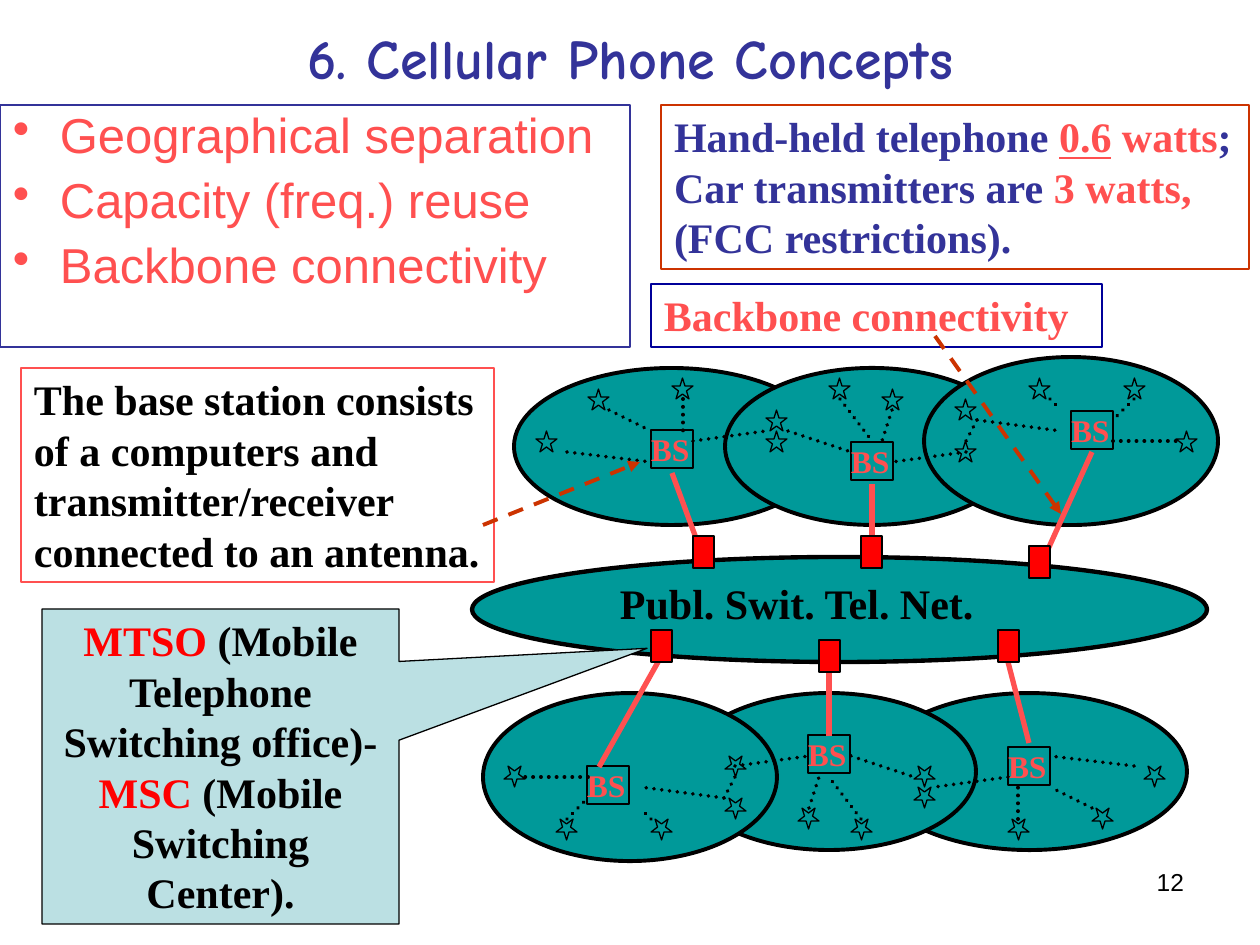
from lxml.etree import SubElement
from pptx import Presentation
from pptx.dml.color import RGBColor
from pptx.enum.dml import MSO_LINE
from pptx.enum.shapes import MSO_CONNECTOR, MSO_SHAPE
from pptx.enum.text import MSO_ANCHOR, PP_ALIGN
from pptx.oxml.ns import qn
from pptx.util import Pt

EMU_PER_PX = 914400 / 126
COLORS = {
    "black": "000000", "teal": "009999", "indigo": "333399", "navy": "000099",
    "coral": "FF5050", "red": "FF0000", "rust": "CC3300", "ice": "BBE0E3",
}
SERIF = "Times New Roman"


def px(value):
    return round(value * EMU_PER_PX)


def color(name):
    return RGBColor.from_string(COLORS[name])


class Stage:
    """Style and current slide, with one method for each kind of element."""

    def __init__(self, slide):
        self.shapes = slide.shapes

    def shape(self, kind, box, fill=None, line=None, width=0.75, turn=0):
        item = self.shapes.add_shape(kind, *map(px, box))
        item.shadow.inherit = False
        item.rotation = turn
        if fill:
            item.fill.solid()
            item.fill.fore_color.rgb = color(fill)
        else:
            item.fill.background()
        if line:
            item.line.color.rgb = color(line)
            item.line.width = Pt(width)
        else:
            item.line.fill.background()
        return item

    def text(self, item, paragraphs, size=24, font=SERIF, bold=True,
             align=PP_ALIGN.LEFT, anchor=MSO_ANCHOR.TOP, inset=(13, 6)):
        """Each paragraph is a list of (words, colour[, underlined]) runs."""
        frame = item.text_frame
        frame.word_wrap = True
        frame.vertical_anchor = anchor
        frame.margin_left = frame.margin_right = px(inset[0])
        frame.margin_top = frame.margin_bottom = px(inset[1])
        for index, runs in enumerate(paragraphs):
            paragraph = frame.add_paragraph() if index else frame.paragraphs[0]
            paragraph.alignment = align
            for words, ink, *underlined in runs:
                run = paragraph.add_run()
                run.text = words
                run.font.size, run.font.name, run.font.bold = Pt(size), font, bold
                run.font.color.rgb = color(ink)
                if underlined:
                    run.font.underline = True
        return frame

    def label(self, box, words, ink, **style):
        return self.text(self.shapes.add_textbox(*map(px, box)), [[(words, ink)]], **style)

    def note(self, box, line, runs):
        self.text(self.shape(MSO_SHAPE.RECTANGLE, box, None, line), [runs])

    def bullets(self, box, line, items, ink):
        frame = self.text(self.shape(MSO_SHAPE.RECTANGLE, box, None, line),
                          [[(item, ink)] for item in items], 28, "Arial", False)
        for paragraph in frame.paragraphs:
            paragraph.line_spacing = 0.9
            paragraph.space_before = Pt(7)
            properties = paragraph._p.get_or_add_pPr()
            properties.set("marL", str(px(47)))
            properties.set("indent", str(px(-47)))
            SubElement(properties, qn("a:buChar")).set("char", "•")

    def line(self, ends, ink, width=2.25, dash=None, arrow=False):
        link = self.shapes.add_connector(MSO_CONNECTOR.STRAIGHT, *map(px, ends))
        link.line.color.rgb = color(ink)
        link.line.width = Pt(width)
        outline = link.line._get_or_add_ln()
        if dash:
            link.line.dash_style = dash
        if dash == MSO_LINE.ROUND_DOT:
            outline.set("cap", "rnd")
        if arrow:
            SubElement(outline, qn("a:tailEnd")).set("type", "triangle")
        SubElement(link._element.spPr, qn("a:effectLst"))

    def radio_link(self, ends):
        self.line(ends, "black", dash=MSO_LINE.ROUND_DOT)

    def base_station(self, left, top):
        block = self.shape(MSO_SHAPE.RECTANGLE, (left, top, 42, 38), "teal", "black", 1.5)
        self.text(block, [[("BS", "coral")]], 18, inset=(0, 0))


# Upper cells; the lower ones are these turned by 180 degrees
CELLS = [(514, 368, 315, 157), (725, 368, 294, 157), (924, 357, 294, 168)]
PHONES = [(766, 410), (766, 431), (829, 378), (882, 389), (955, 399), (955, 441),
          (1029, 378), (1176, 431), (1124, 378), (536, 431), (588, 389), (672, 378)]
RADIO_LINKS = [
    (567, 452, 651, 462), (609, 410, 651, 431), (683, 399, 683, 431),
    (693, 441, 766, 431), (840, 399, 872, 441), (892, 410, 882, 441),
    (966, 452, 892, 462), (977, 420, 966, 441), (1050, 399, 1061, 410),
    (1134, 399, 1113, 420), (1113, 441, 1176, 441), (977, 420, 1061, 431),
]
UPPER_STATIONS = [(651, 430), (851, 442), (1071, 411)]
LOWER_STATIONS = [(1008, 747), (808, 735), (587, 766)]
TURN_X, TURN_Y = 1701, 1218  # twice the centre of the turn


def turned_box(box):
    left, top, width, height = box
    return TURN_X - left - width, TURN_Y - top - height, width, height


def turned_ends(ends):
    x1, y1, x2, y2 = ends
    return TURN_X - x1, TURN_Y - y1, TURN_X - x2, TURN_Y - y2


def draw_cells(stage, stations, turned):
    place = turned_box if turned else tuple
    angle = 180 if turned else 0
    for cell in CELLS:
        stage.shape(MSO_SHAPE.OVAL, place(cell), "teal", "black", 2.25, angle)
    for station in stations:
        stage.base_station(*station)
    for phone in PHONES:
        stage.shape(MSO_SHAPE.STAR_5_POINT, place((*phone, 21, 21)),
                    "teal", "black", turn=angle)
    for ends in RADIO_LINKS:
        stage.radio_link(turned_ends(ends) if turned else ends)


def main():
    deck = Presentation()
    deck.slide_width, deck.slide_height = px(1260), px(945)
    stage = Stage(deck.slides.add_slide(deck.slide_layouts[6]))

    # Title and topics
    stage.label((95, 21, 1071, 73), "6. Cellular Phone Concepts", "indigo", size=32,
                font="Comic Neue", align=PP_ALIGN.CENTER, anchor=MSO_ANCHOR.MIDDLE)
    stage.bullets((0, 105, 630, 242), "indigo", [
        "Geographical separation", "Capacity (freq.) reuse", "Backbone connectivity"], "coral")

    # Telephone network and cells
    stage.shape(MSO_SHAPE.OVAL, (472, 557, 735, 105), "teal", "black", 2.5)
    draw_cells(stage, UPPER_STATIONS, turned=False)
    draw_cells(stage, LOWER_STATIONS, turned=True)
    for ends in [(788, 431, 851, 452), (851, 756, 914, 777)]:
        stage.radio_link(ends)
    network = stage.shape(MSO_SHAPE.RECTANGLE, (620, 578, 410, 50), "teal")
    stage.text(network, [[("Publ. Swit. Tel. Net.", "black")]], inset=(0, 0))

    # Backbone lines and switching offices
    for ends in [(672, 473, 703, 557), (872, 484, 872, 557), (1092, 452, 1040, 567),
                 (599, 767, 662, 655), (829, 736, 829, 662), (1029, 743, 1008, 662)]:
        stage.line(ends, "coral", 3)
    for office in [(651, 630), (861, 536), (693, 536), (998, 630), (819, 640), (1029, 546)]:
        stage.shape(MSO_SHAPE.RECTANGLE, (*office, 21, 32), "red", "black")

    # Callout for the switching office
    callout = stage.shape(MSO_SHAPE.RECTANGULAR_CALLOUT, (42, 609, 357, 315), "ice", "black")
    callout.adjustments[0], callout.adjustments[1] = 1.195, -0.375
    stage.text(callout, [[
        ("MTSO", "red"), (" (Mobile Telephone Switching office)- ", "black"),
        ("MSC", "red"), (" (Mobile Switching Center).", "black")]], align=PP_ALIGN.CENTER)

    # Notes and their arrows
    stage.note((661, 105, 588, 164), "rust", [
        ("Hand-held telephone ", "indigo"), ("0.6", "coral", True), (" watts", "coral"),
        ("; Car transmitters are ", "indigo"), ("3 watts,", "coral"),
        (" (FCC restrictions).", "indigo")])
    stage.note((21, 368, 473, 214), "coral", [
        ("The base station consists of a computers and transmitter/receiver "
         "connected to an antenna.", "black")])
    stage.line((483, 525, 640, 462), "rust", dash=MSO_LINE.DASH, arrow=True)
    stage.note((651, 284, 451, 63), "navy", [("Backbone connectivity", "coral")])
    stage.line((935, 336, 1061, 514), "rust", dash=MSO_LINE.DASH, arrow=True)

    # Slide number
    stage.label((903, 861, 294, 66), "12", "black", size=14, font="Arial",
                bold=False, align=PP_ALIGN.RIGHT)

    deck.save("out.pptx")


if __name__ == "__main__":
    main()
